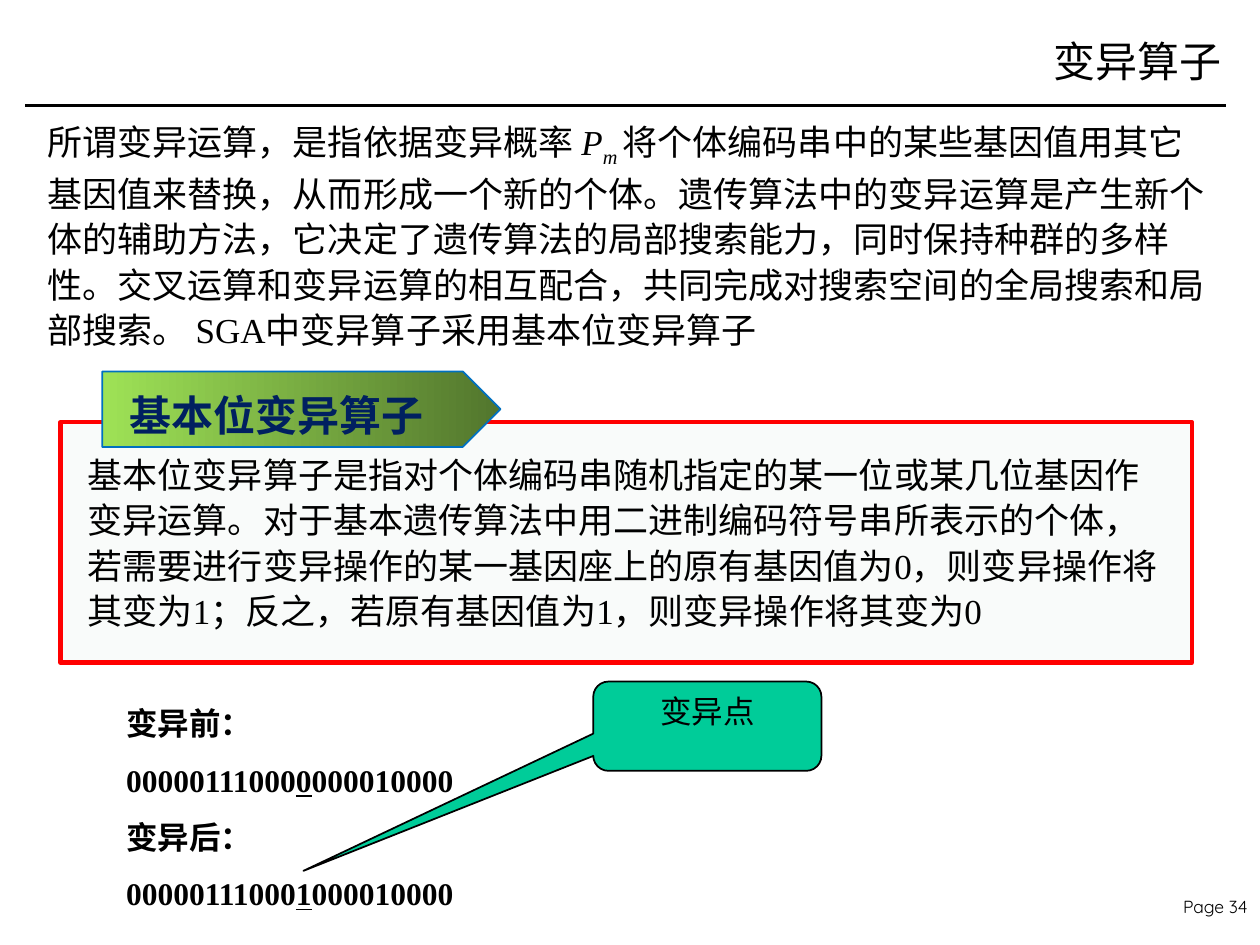
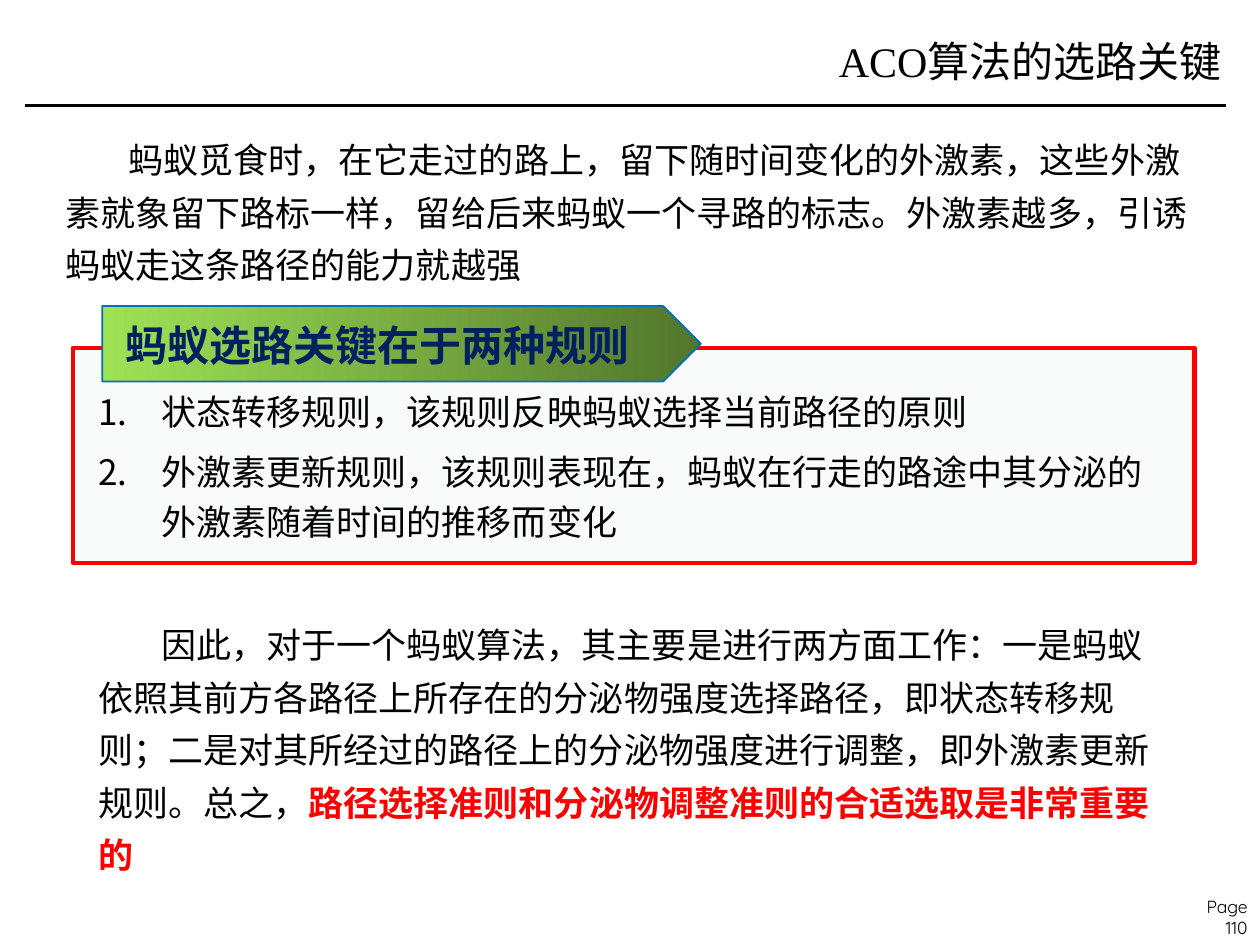
from dataclasses import dataclass
from typing import NamedTuple, Optional, Union

from lxml.etree import SubElement
from pptx import Presentation
from pptx.dml.color import RGBColor
from pptx.enum.shapes import MSO_CONNECTOR as Connector, MSO_SHAPE as Shape
from pptx.enum.text import MSO_ANCHOR as Anchor, MSO_AUTO_SIZE as AutoSize, PP_ALIGN as Align
from pptx.oxml.ns import qn
from pptx.util import Cm, Pt

BLACK = RGBColor(0x00, 0x00, 0x00)
RED = RGBColor(0xFF, 0x00, 0x00)
NAVY = RGBColor(0x00, 0x20, 0x60)
BLUE = RGBColor(0x00, 0x70, 0xC0)
LIME = RGBColor(0x9E, 0xE2, 0x56)
OLIVE = RGBColor(0x52, 0x76, 0x2D)
PALE = RGBColor(0xF9, 0xFB, 0xFA)
TEAL = RGBColor(0x00, 0xCC, 0x99)
WHITE = RGBColor(0xFF, 0xFF, 0xFF)

SERIF = "Times New Roman"
TITLE_RIGHT = 24.88
FIRST_LINE = 1.27


class Area(NamedTuple):
    left: float
    top: float
    width: float
    height: float

    def lengths(self) -> tuple:
        return tuple(Cm(value) for value in self)


class Span(NamedTuple):
    text: str
    format: dict = {}
    baseline: int = 0
    break_before: bool = False


@dataclass(frozen=True)
class TextStyle:
    size: float = 20
    name: str = SERIF
    color: RGBColor = BLACK
    bold: bool = False
    align: Align = Align.LEFT
    spacing: Union[float, Pt, None] = None
    gap: float = 0
    margin: float = 0
    indent: float = 0
    numbered: bool = False


@dataclass(frozen=True)
class Panel:
    frame: Area
    tag: Area
    label: Area
    heading: str


TITLE = TextStyle(size=24, align=Align.RIGHT)
PAGE_NUMBER = TextStyle(size=10, name="Quicksand", align=Align.RIGHT)
HEADING = TextStyle(size=24, color=NAVY, bold=True)
DENSE = TextStyle(spacing=Pt(26))
INDENTED = TextStyle(spacing=Pt(30), indent=FIRST_LINE)
NUMBERED = TextStyle(spacing=Pt(29), gap=5, margin=FIRST_LINE, indent=-FIRST_LINE, numbered=True)
GENES = TextStyle(size=18, bold=True, spacing=1.5)
CALLOUT = TextStyle(size=18, align=Align.CENTER)


def set_bullet(para, style: TextStyle) -> None:
    """Set the indents, the punctuation rule and the numbering of a paragraph."""
    properties = para._p.get_or_add_pPr()
    properties.set("marL", str(Cm(style.margin)))
    properties.set("indent", str(Cm(style.indent)))
    properties.set("hangingPunct", "0")
    if style.numbered:
        SubElement(properties, qn("a:buAutoNum"), type="arabicPeriod")
    else:
        SubElement(properties, qn("a:buNone"))


def write(shape, paragraphs: list, style: TextStyle, anchor: Anchor = Anchor.TOP) -> None:
    """Fill a shape with paragraphs, each one a list of spans."""
    frame = shape.text_frame
    frame.word_wrap = True
    frame.auto_size = AutoSize.NONE
    frame.vertical_anchor = anchor
    for index, spans in enumerate(paragraphs):
        para = frame.add_paragraph() if index else frame.paragraphs[0]
        set_bullet(para, style)
        layout = {
            "alignment": style.align,
            "line_spacing": style.spacing,
            "space_before": Pt(style.gap if index else 0),
        }
        for key, value in layout.items():
            setattr(para, key, value)
        for span in spans:
            if span.break_before:
                para.add_line_break()
            run = para.add_run()
            run.text = span.text
            values = {"size": Pt(style.size), "name": style.name, "bold": style.bold}
            values.update(span.format)
            run.font.color.rgb = values.pop("color", style.color)
            for key, value in values.items():
                setattr(run.font, key, value)
            if span.baseline:
                run._r.get_or_add_rPr().set("baseline", str(span.baseline * 1000))


def add_text(page, area: Area, paragraphs: list, style: TextStyle) -> None:
    """Add a text box."""
    write(page.shapes.add_textbox(*area.lengths()), paragraphs, style)


def place(placeholder, area: Area) -> None:
    """Move a placeholder to an area."""
    for key, value in zip(Area._fields, area.lengths()):
        setattr(placeholder, key, value)


def add_shape(page, kind: Shape, area: Area, line: RGBColor, weight: float,
              fill: Optional[RGBColor] = None):
    """Add a preset shape with an outline and an optional solid fill."""
    shape = page.shapes.add_shape(kind, *area.lengths())
    shape.shadow.inherit = False
    shape.line.color.rgb = line
    shape.line.width = Pt(weight)
    if fill is not None:
        shape.fill.solid()
        shape.fill.fore_color.rgb = fill
    return shape


def add_panel(page, panel: Panel) -> None:
    """Draw a red frame with its gradient heading tag."""
    add_shape(page, Shape.RECTANGLE, panel.frame, RED, 2.5, PALE)
    tag = add_shape(page, Shape.PENTAGON, panel.tag, BLUE, 1)
    tag.fill.gradient()
    tag.fill.gradient_angle = 0
    for stop, color in zip(tag.fill.gradient_stops, (LIME, OLIVE)):
        stop.color.rgb = color
    add_text(page, panel.label, [[Span(panel.heading)]], HEADING)


def add_page(deck, title: str, title_left: float, number: list):
    """Add a page with its title, rule and page number."""
    page = deck.slides.add_slide(deck.slide_layouts[1])
    page.background.fill.solid()
    page.background.fill.fore_color.rgb = WHITE
    add_text(page, Area(23.37, 17.93, 2.03, 0.66), [number], PAGE_NUMBER)
    rule = page.shapes.add_connector(Connector.STRAIGHT, Cm(0.51), Cm(2.13), Cm(24.71), Cm(2.13))
    rule.line.color.rgb = BLACK
    rule.line.width = Pt(2)
    SubElement(rule._element.spPr, qn("a:effectLst"))
    place(page.shapes.title, Area(title_left, 0.28, TITLE_RIGHT - title_left, 1.9))
    write(page.shapes.title, [[Span(title)]], TITLE, Anchor.MIDDLE)
    return page


def add_body(page, area: Area, paragraphs: list, style: TextStyle) -> None:
    """Fill the body placeholder and bring it to the front."""
    body = page.placeholders[1]
    place(body, area)
    write(body, paragraphs, style)
    page.shapes._spTree.append(body._element)


def gene_string(point: str) -> list:
    """Return a gene string with its mutation point underlined."""
    return [Span("00000111000"), Span(point, {"underline": True}), Span("000010000")]


def build_mutation(deck) -> None:
    """Build the page on the mutation operator."""
    page = add_page(deck, "变异算子", 10.9, [Span("Page 34")])
    add_text(page, Area(0.71, 2.36, 24.03, 4.88), [[
        Span("所谓变异运算，是指依据变异概率"),
        Span(" P", {"italic": True}),
        Span("m ", {"italic": True}, -25),
        Span("将个体编码串中的某些基因值用其它基因值来替换，从而形成一个新的个体。"
             "遗传算法中的变异运算是产生新个体的辅助方法，它决定了遗传算法的局部搜索能力，"
             "同时保持种群的多样性。交叉运算和变异运算的相互配合，"
             "共同完成对搜索空间的全局搜索和局部搜索。 SGA中变异算子采用基本位变异算子"),
    ]], DENSE)
    add_panel(page, Panel(
        frame=Area(1.22, 8.51, 22.81, 4.85),
        tag=Area(2.06, 7.49, 8.03, 1.52),
        label=Area(2.36, 7.72, 6.81, 1.27),
        heading="基本位变异算子",
    ))
    add_text(page, Area(1.52, 8.94, 22.23, 3.96), [[
        Span("基本位变异算子是指对个体编码串随机指定的某一位或某几位基因作变异运算。"
             "对于基本遗传算法中用二进制编码符号串所表示的个体，"
             "若需要进行变异操作的某一基因座上的原有基因值为0，则变异操作将其变为1；"
             "反之，若原有基因值为1，则变异操作将其变为0"),
    ]], DENSE)
    add_body(page, Area(2.29, 13.69, 8.59, 4.9), [
        [Span("变异前：")], gene_string("0"),
        [Span("变异后：")], gene_string("1"),
    ], GENES)
    callout = add_shape(page, Shape.ROUNDED_RECTANGULAR_CALLOUT,
                        Area(11.96, 13.74, 4.6, 1.8), BLACK, 1, TEAL)
    for index, value in enumerate((-1.77, 1.62, 0.17)):
        callout.adjustments[index] = value
    write(callout, [[Span("变异点")]], CALLOUT)


def build_path_choice(deck) -> None:
    """Build the page on how ants choose a path."""
    page = add_page(deck, "ACO算法的选路关键", 7.92,
                    [Span("Page"), Span("110", break_before=True)])
    add_panel(page, Panel(
        frame=Area(1.47, 7.01, 22.61, 4.34),
        tag=Area(2.06, 6.17, 12.07, 1.52),
        label=Area(2.29, 6.32, 10.97, 1.27),
        heading="蚂蚁选路关键在于两种规则",
    ))
    add_body(page, Area(1.73, 7.57, 21.82, 3.53), [
        [Span("状态转移规则，该规则反映蚂蚁选择当前路径的原则")],
        [Span("外激素更新规则，该规则表现在，"
              "蚂蚁在行走的路途中其分泌的外激素随着时间的推移而变化")],
    ], NUMBERED)
    add_text(page, Area(1.07, 2.46, 23.27, 3.45), [[
        Span("蚂蚁觅食时，在它走过的路上，留下随时间变化的外激素，"
             "这些外激素就象留下路标一样，留给后来蚂蚁一个寻路的标志。"
             "外激素越多，引诱蚂蚁走这条路径的能力就越强"),
    ]], INDENTED)
    add_text(page, Area(1.73, 12.24, 22.05, 4.52), [[
        Span("因此，对于一个蚂蚁算法，其主要是进行两方面工作："
             "一是蚂蚁依照其前方各路径上所存在的分泌物强度选择路径，即状态转移规则；"
             "二是对其所经过的路径上的分泌物强度进行调整，即外激素更新规则。总之，"),
        Span("路径选择准则和分泌物调整准则的合适选取是非常重要的", {"color": RED, "bold": True}),
    ]], INDENTED)


def main() -> None:
    """Build and save the deck."""
    deck = Presentation()
    deck.slide_width = Cm(25.4)
    deck.slide_height = Cm(19.05)
    build_mutation(deck)
    build_path_choice(deck)
    deck.save("out.pptx")


if __name__ == "__main__":
    main()
